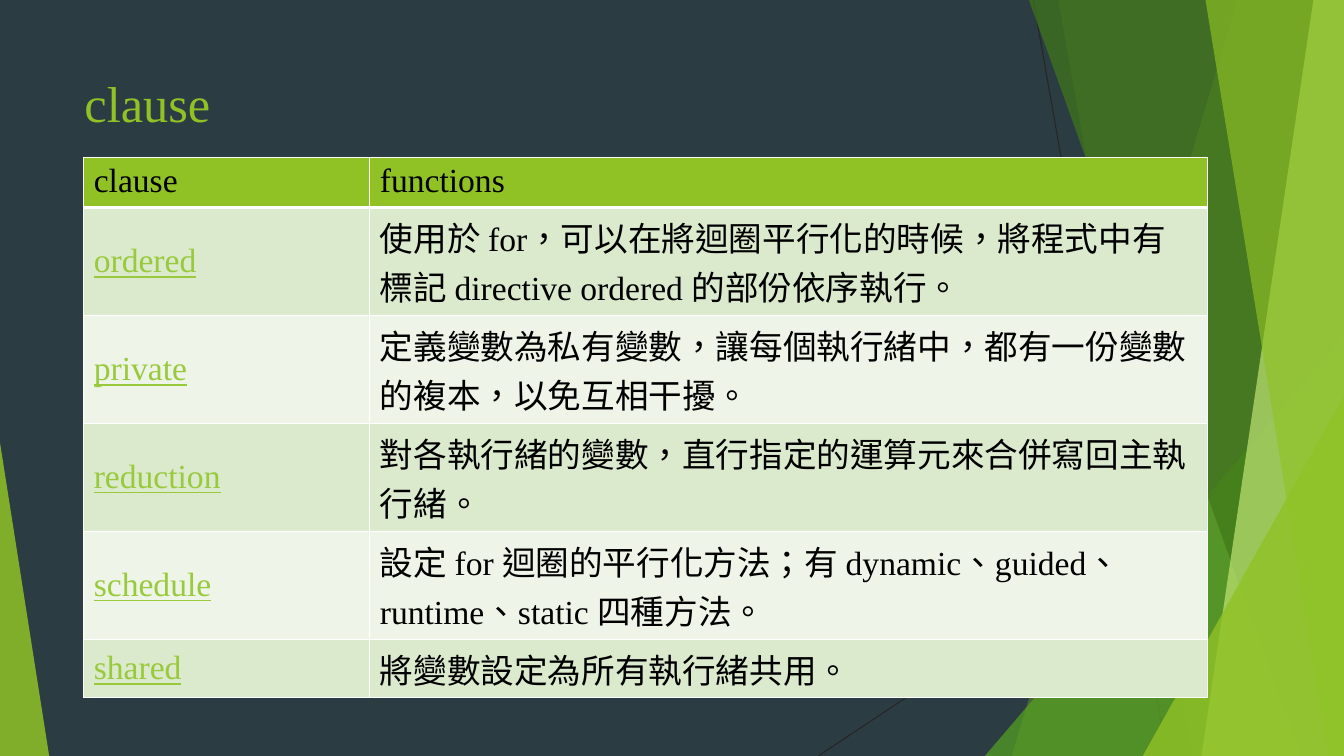
from lxml.etree import SubElement
from pptx import Presentation
from pptx.dml.color import RGBColor
from pptx.enum.lang import MSO_LANGUAGE_ID
from pptx.enum.shapes import MSO_CONNECTOR, MSO_SHAPE
from pptx.enum.text import MSO_ANCHOR, PP_ALIGN
from pptx.oxml.ns import qn
from pptx.util import Cm, Pt

WIDTH, HEIGHT = 33.87, 19.05
GREEN, WHITE, BLACK, LINK = "90C226", "FFFFFF", "000000", "99CA3C"
BANDS = ("DBE9CD", "EEF4E8")

RAYS = [((26.04, 0), (29.41, HEIGHT)), ((WIDTH, 10.24), (20.62, HEIGHT))]
BACK_PANELS = [(31.19, 25.5, GREEN, 30), (26.67, 30.05, GREEN, 20)]
FRONT_PANELS = [
    (25.93, 32.79, "3F7819", 70),
    (33.1, 30.28, "C0E474", 70),
    (30.38, 33.48, GREEN, 65),
]
CLAUSES = [
    ("ordered", "使用於 for，可以在將迴圈平行化的時候，將程式中有標記 directive ordered 的部份依序執行。"),
    ("private", "定義變數為私有變數，讓每個執行緒中，都有一份變數的複本，以免互相干擾。"),
    ("reduction", "對各執行緒的變數，直行指定的運算元來合併寫回主執行緒。"),
    ("schedule", "設定 for 迴圈的平行化方法；有 dynamic、guided、runtime、static 四種方法。"),
    ("shared", "將變數設定為所有執行緒共用。"),
]


def rgb(value):
    return RGBColor.from_string(value)


class Deck:
    font = "Times New Roman"

    def __init__(self, background):
        self.prs = Presentation()
        self.prs.slide_width, self.prs.slide_height = Cm(WIDTH), Cm(HEIGHT)
        self.s = self.prs.slides.add_slide(self.prs.slide_layouts[6])
        fill = self.s.background.fill
        fill.solid()
        fill.fore_color.rgb = rgb(background)

    def line(self, start, end):
        points = [Cm(v) for v in (*start, *end)]
        ln = self.s.shapes.add_connector(MSO_CONNECTOR.STRAIGHT, *points)
        ln.line.color.rgb = rgb("262626")
        ln.line.width = Pt(0.75)
        SubElement(ln._element.spPr, qn("a:effectLst"))

    def paint(self, sp, color, opacity):
        sp.shadow.inherit = False
        sp.line.fill.background()
        sp.fill.solid()
        sp.fill.fore_color.rgb = rgb(color)
        node = sp._element.spPr.find(qn("a:solidFill"))[0]
        SubElement(node, qn("a:alpha"), val=str(opacity * 1000))

    def panel(self, top_x, bottom_x, color, opacity):
        corners = [(WIDTH, 0), (WIDTH, HEIGHT), (bottom_x, HEIGHT)]
        builder = self.s.shapes.build_freeform(Cm(top_x), 0)
        builder.add_line_segments([(Cm(x), Cm(y)) for x, y in corners], close=True)
        self.paint(builder.convert_to_shape(), color, opacity)

    def triangle(self, x, y, w, apex, color, opacity):
        box = [Cm(v) for v in (x, y, w, HEIGHT - y)]
        sp = self.s.shapes.add_shape(MSO_SHAPE.ISOSCELES_TRIANGLE, *box)
        sp.adjustments[0] = apex
        self.paint(sp, color, opacity)

    def text(self, tf, text, size, color, underline=False):
        tf.word_wrap = True
        p = tf.paragraphs[0]
        p.alignment = PP_ALIGN.LEFT
        r = p.add_run()
        r.text = text
        r.font.name = self.font
        r.font.size = Pt(size)
        r.font.color.rgb = rgb(color)
        r.font.bold = False
        r.font.underline = underline
        r.font.language_id = MSO_LANGUAGE_ID.TRADITIONAL_CHINESE

    def title(self, text, x, y, w, h):
        sp = self.s.shapes.add_textbox(Cm(x), Cm(y), Cm(w), Cm(h))
        self.text(sp.text_frame, text, 36, GREEN)

    def cell(self, cell, text, fill, color, top=1, bottom=1, underline=False):
        tcPr = cell._tc.get_or_add_tcPr()
        for side, width in (("L", 1), ("R", 1), ("T", top), ("B", bottom)):
            ln = SubElement(tcPr, qn(f"a:ln{side}"), w=str(Pt(width)))
            SubElement(SubElement(ln, qn("a:solidFill")), qn("a:srgbClr"), val=WHITE)
        cell.fill.solid()
        cell.fill.fore_color.rgb = rgb(fill)
        self.text(cell.text_frame, text, 24, color, underline)

    def table(self, x, y, widths, heights, header, rows):
        box = [Cm(v) for v in (x, y, sum(widths), sum(heights))]
        table = self.s.shapes.add_table(len(heights), len(widths), *box).table
        for column, width in zip(table.columns, widths):
            column.width = Cm(width)
        for row, height in zip(table.rows, heights):
            row.height = Cm(height)
        for j, text in enumerate(header):
            self.cell(table.cell(0, j), text, GREEN, BLACK, bottom=3)
        for i, row in enumerate(rows, 1):
            for j, text in enumerate(row):
                cell = table.cell(i, j)
                cell.vertical_anchor = MSO_ANCHOR.MIDDLE
                self.cell(cell, text, BANDS[(i - 1) % 2], BLACK if j else LINK,
                          top=3 if i == 1 else 1, underline=j == 0)


def main():
    deck = Deck("2C3C43")
    for ray in RAYS:
        deck.line(*ray)
    for panel in BACK_PANELS:
        deck.panel(*panel)
    deck.triangle(24.82, 8.46, 9.05, 1, "54A021", 72)
    for panel in FRONT_PANELS:
        deck.panel(*panel)
    deck.triangle(28.8, 9.98, 5.07, 1, GREEN, 80)
    deck.triangle(0, 11.15, 1.24, 0, GREEN, 85)
    deck.title("clause", 1.88, 1.7, 27.33, 3.66)
    deck.table(2.11, 3.96, [7.21, 21.11], [1.19] + [2.72] * 4 + [1.47],
               ("clause", "functions"), CLAUSES)
    deck.prs.save("out.pptx")


if __name__ == "__main__":
    main()
